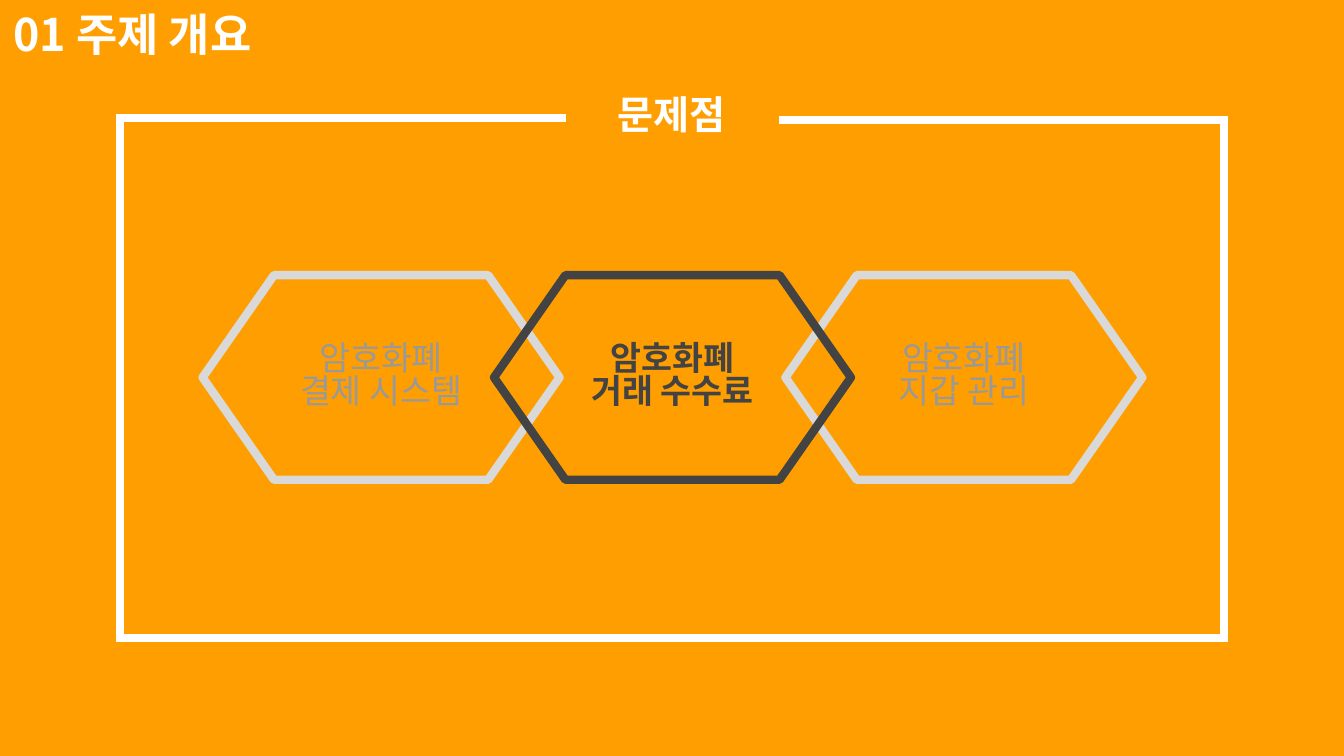
from lxml.etree import SubElement
from pptx import Presentation
from pptx.dml.color import RGBColor
from pptx.enum.shapes import MSO_SHAPE as Shape
from pptx.enum.text import MSO_ANCHOR as Anchor, PP_ALIGN as Align
from pptx.oxml.ns import qn
from pptx.util import Inches, Pt

FONT = "Noto Sans CJK KR"
COLORS = {
    "background": "FF9E00",
    "white": "FFFFFF",
    "muted_line": "D9D9D9",
    "muted_text": "999999",
    "focus": "434343",
}


def color(name):
    return RGBColor.from_string(COLORS[name])


def write(holder, lines, size, color_name, bold, align, spacing):
    frame = holder.text_frame
    frame.word_wrap = True
    frame.margin_left = frame.margin_right = Inches(0.13)
    frame.margin_top = frame.margin_bottom = Inches(0.13)
    paragraph = frame.paragraphs[0]
    paragraph.alignment = align
    paragraph.line_spacing = spacing
    for index, line in enumerate(lines):
        if index:
            paragraph.add_line_break()
        run = paragraph.add_run()
        run.text = line
        run.font.name = FONT
        run.font.size = Pt(size)
        run.font.bold = bold
        run.font.color.rgb = color(color_name)
        SubElement(run.font._element, qn("a:ea"), typeface=FONT)
    return frame


def outline(shape, color_name, join):
    shape.shadow.inherit = False
    shape.fill.background()
    shape.line.color.rgb = color(color_name)
    shape.line.width = Pt(6)
    SubElement(shape.line._ln, qn(f"a:{join}"))


def add_frame(slide, points):
    start, *rest = [(Inches(x), Inches(y)) for x, y in points]
    builder = slide.shapes.build_freeform(*start)
    builder.add_line_segments(rest, close=False)
    outline(builder.convert_to_shape(), "white", "miter")


def add_heading(slide, text, left, top, width, size, align):
    heading = slide.shapes.add_textbox(
        Inches(left), Inches(top), Inches(width), Inches(0.83))
    write(heading, [text], size, "white", True, align, 0.9)


def add_hexagon(slide, left, lines, line_color, text_color, bold):
    hexagon = slide.shapes.add_shape(
        Shape.FLOWCHART_PREPARATION,
        Inches(left), Inches(2.73), Inches(3.54), Inches(2.03))
    outline(hexagon, line_color, "round")
    label = write(hexagon, lines, 24, text_color, bold, Align.CENTER, 0.82)
    label.vertical_anchor = Anchor.MIDDLE


def main():
    deck = Presentation()
    deck.slide_width, deck.slide_height = Inches(13.33), Inches(7.5)
    slide = deck.slides.add_slide(deck.slide_layouts[6])
    slide.background.fill.solid()
    slide.background.fill.fore_color.rgb = color("background")

    add_frame(slide, [(5.61, 1.17), (1.19, 1.17), (1.19, 6.33),
                      (12.14, 6.33), (12.14, 1.19), (7.73, 1.19)])
    add_heading(slide, "01 주제 개요", 0, 0, 4.56, 32, Align.LEFT)

    muted = ("muted_line", "muted_text", False)
    focus = ("focus", "focus", True)
    problems = [
        (0, "결제 시스템", muted),
        (2, "지갑 관리", muted),
        (1, "거래 수수료", focus),
    ]
    for position, topic, style in problems:
        add_hexagon(slide, 2.01 + 2.89 * position, ["암호화폐", topic], *style)

    add_heading(slide, "문제점", 4.8, 0.82, 3.73, 28, Align.CENTER)
    deck.save("out.pptx")


main()
